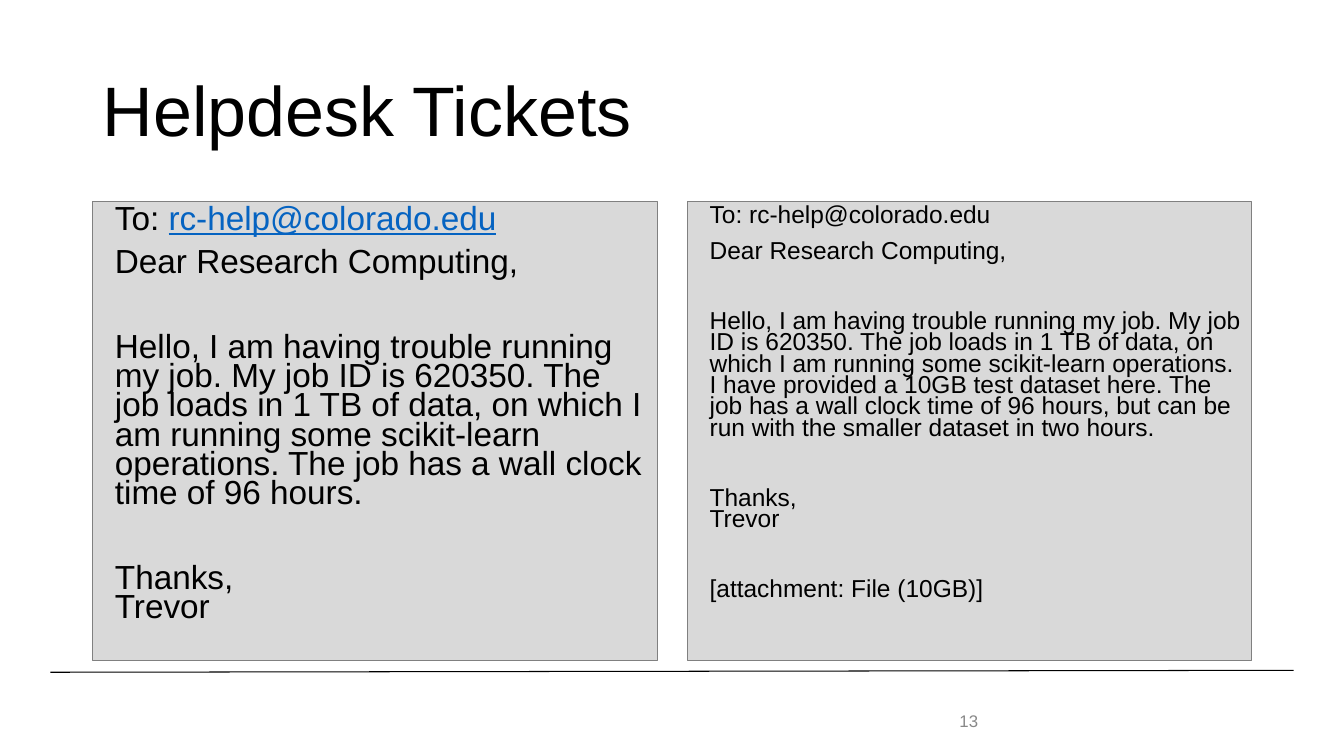
from dataclasses import dataclass

from lxml.etree import SubElement
from pptx import Presentation
from pptx.dml.color import RGBColor
from pptx.enum.shapes import MSO_CONNECTOR
from pptx.enum.text import MSO_ANCHOR, MSO_AUTO_SIZE, PP_ALIGN
from pptx.oxml.ns import qn
from pptx.util import Pt


@dataclass(frozen=True)
class Theme:
    font: str = "Arial"
    ink: str = "000000"
    link: str = "0563C1"
    muted: str = "888888"
    card_fill: str = "D9D9D9"
    card_edge: str = "808080"
    title_size: float = 50
    brief_size: float = 23.8
    detailed_size: float = 17.5
    number_size: float = 12
    hairline: float = 0.75
    card_leading: float = 0.73
    card_space: float = 10


THEME = Theme()
LEFT, CARD_TOP = 66.24, 144
CARD_WIDTH, CARD_HEIGHT, CARD_GAP = 403.2, 327.6, 21.6
ADDRESS = "rc-help@colorado.edu"
GREETING = "Dear Research Computing,"
PROBLEM = ("Hello, I am having trouble running my job. My job ID is 620350. "
           "The job loads in 1 TB of data, on which I am running some "
           "scikit-learn operations. ")
SIGN_OFF = "Thanks,\nTrevor"


def apply(target, values):
    for name, value in values.items():
        setattr(target, name, value)


def place(element, left, top, width, height):
    apply(element, {"left": Pt(left), "top": Pt(top),
                    "width": Pt(width), "height": Pt(height)})


def set_frame(frame, anchor):
    apply(frame, {"word_wrap": True, "auto_size": MSO_AUTO_SIZE.NONE,
                  "vertical_anchor": anchor,
                  "margin_left": Pt(7.2), "margin_right": Pt(7.2),
                  "margin_top": Pt(3.6), "margin_bottom": Pt(3.6)})


def write(paragraph, text, size, color=THEME.ink, underline=False):
    for number, line in enumerate(text.split("\n")):
        if number:
            paragraph.add_line_break()
        run = paragraph.add_run()
        run.text = line
        apply(run.font, {"name": THEME.font, "size": Pt(size),
                         "underline": underline})
        run.font.color.rgb = RGBColor.from_string(color)


def add_title(slide, text):
    title = slide.shapes.title
    place(title, LEFT, 28.8, 828, 104.4)
    set_frame(title.text_frame, MSO_ANCHOR.MIDDLE)
    heading = title.text_frame.paragraphs[0]
    apply(heading, {"alignment": PP_ALIGN.LEFT, "line_spacing": 0.9})
    write(heading, text, THEME.title_size)


def add_ticket(card, column, size, address_color, underline, blocks):
    """Fill a card; each block is (text, whether a wide gap precedes it)."""
    place(card, LEFT + column * (CARD_WIDTH + CARD_GAP), CARD_TOP,
          CARD_WIDTH, CARD_HEIGHT)
    card.fill.solid()
    card.fill.fore_color.rgb = RGBColor.from_string(THEME.card_fill)
    card.line.color.rgb = RGBColor.from_string(THEME.card_edge)
    card.line.width = Pt(THEME.hairline)
    frame = card.text_frame
    set_frame(frame, MSO_ANCHOR.TOP)

    # A wide gap is one text line plus the spacing on both sides of it
    wide_gap = 2 * THEME.card_space + size * 1.15 * THEME.card_leading
    for number, (text, is_wide) in enumerate([("To: ", False)] + blocks):
        paragraph = frame.add_paragraph() if number else frame.paragraphs[0]
        properties = paragraph._p.get_or_add_pPr()
        properties.set("marL", str(Pt(8.64)))
        properties.set("indent", "0")
        SubElement(properties, qn("a:buNone"))
        space = wide_gap if is_wide else THEME.card_space
        apply(paragraph, {"alignment": PP_ALIGN.LEFT,
                          "line_spacing": THEME.card_leading,
                          "space_before": Pt(space if number else 0),
                          "space_after": Pt(0)})
        write(paragraph, text, size)
    write(frame.paragraphs[0], ADDRESS, size, address_color, underline)


def add_footer(slide):
    rule = slide.shapes.add_connector(MSO_CONNECTOR.STRAIGHT, Pt(36), Pt(480.2),
                                      Pt(924), Pt(478.8))
    rule.line.color.rgb = RGBColor.from_string(THEME.ink)
    rule.line.width = Pt(THEME.hairline)
    SubElement(rule._element.spPr, qn("a:effectLst"))

    page_number = slide.shapes.add_textbox(Pt(678.24), Pt(500.4), Pt(54), Pt(28.8))
    set_frame(page_number.text_frame, MSO_ANCHOR.MIDDLE)
    write(page_number.text_frame.paragraphs[0], "13",
          THEME.number_size, THEME.muted)


def main():
    presentation = Presentation()
    apply(presentation, {"slide_width": Pt(960), "slide_height": Pt(540)})
    slide = presentation.slides.add_slide(presentation.slide_layouts[3])
    add_title(slide, "Helpdesk Tickets")

    # Brief ticket on the left, detailed ticket on the right
    add_ticket(slide.placeholders[1], 0, THEME.brief_size, THEME.link, True, [
        (GREETING, False),
        (PROBLEM + "The job has a wall clock time of 96 hours.", True),
        (SIGN_OFF, True),
    ])
    add_ticket(slide.placeholders[2], 1, THEME.detailed_size, THEME.ink, False, [
        (GREETING, False),
        (PROBLEM + "I have provided a 10GB test dataset here. The job has a "
         "wall clock time of 96 hours, but can be run with the smaller "
         "dataset in two hours.", True),
        (SIGN_OFF, True),
        ("[attachment: File (10GB)]", True),
    ])

    # Rule and page number
    add_footer(slide)
    presentation.save("out.pptx")


if __name__ == "__main__":
    main()
